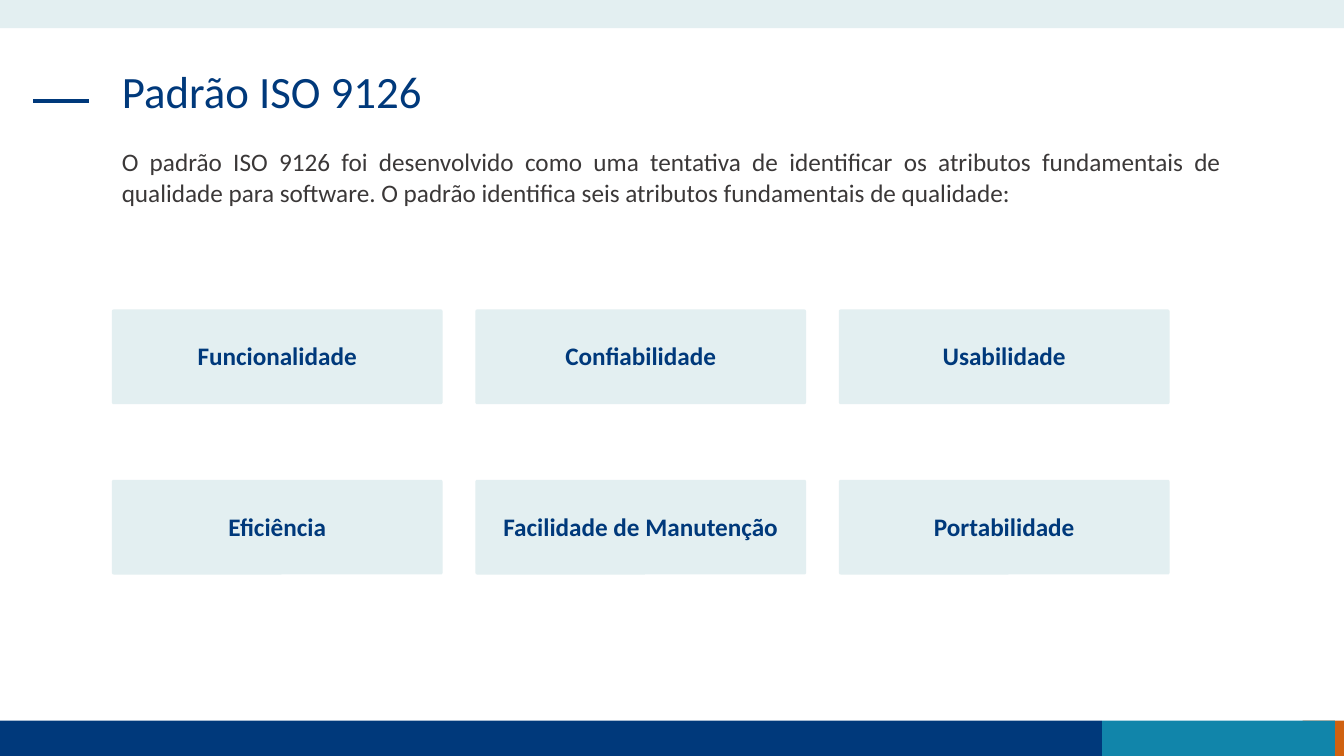
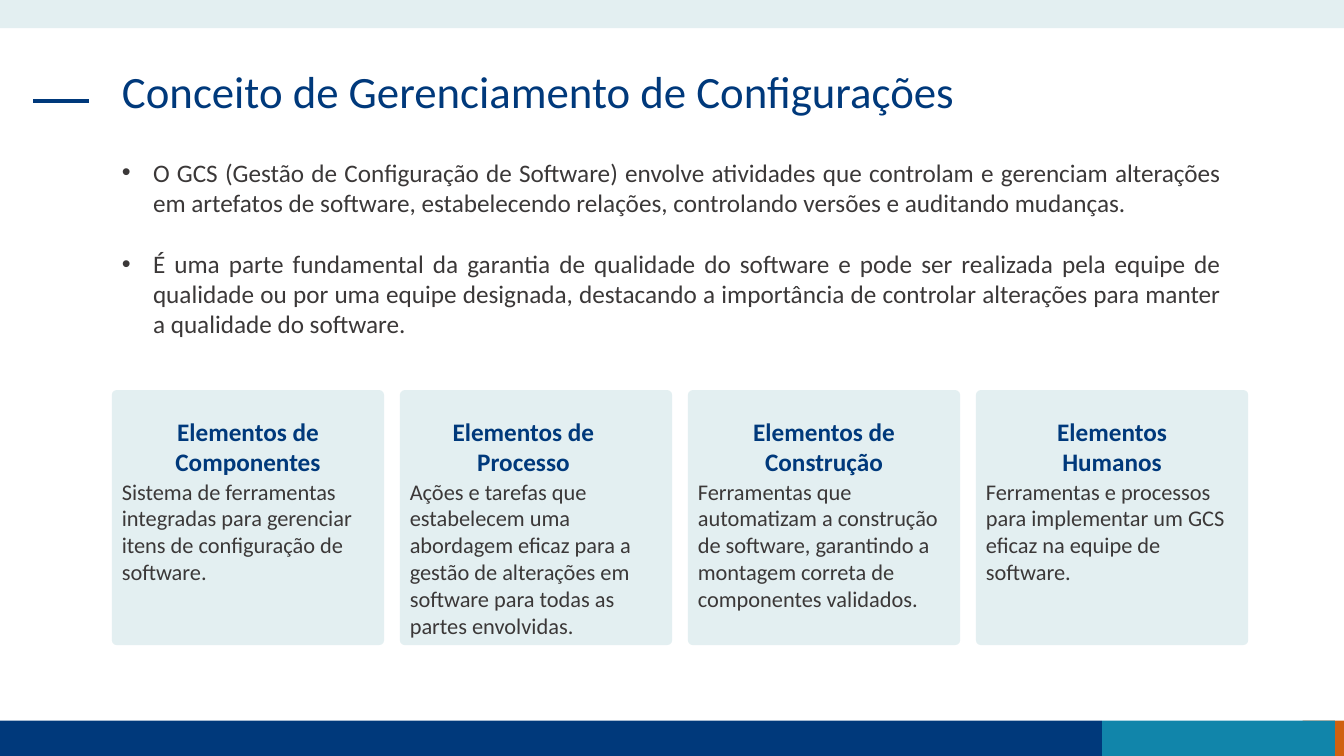
from lxml import etree
from pptx import Presentation
from pptx import util as u
from pptx.dml.color import RGBColor
from pptx.enum import shapes, text
from pptx.oxml import ns

NAVY = RGBColor(0x00, 0x39, 0x7B)
TEAL = RGBColor(0x11, 0x85, 0xAA)
RUST = RGBColor(0xD0, 0x61, 0x10)
PALE = RGBColor(0xE3, 0xEF, 0xF1)
GRAY = RGBColor(0x3B, 0x38, 0x38)
FONT = "Calibri"
LEFT = 1.11
BODY = 11.1
RECT = shapes.MSO_SHAPE.RECTANGLE
ROUND = shapes.MSO_SHAPE.ROUNDED_RECTANGLE
FIT = text.MSO_AUTO_SIZE.SHAPE_TO_FIT_TEXT
TOP, MID = text.MSO_ANCHOR.TOP, text.MSO_ANCHOR.MIDDLE
START, MIDST, JUST = text.PP_ALIGN.LEFT, text.PP_ALIGN.CENTER, text.PP_ALIGN.JUSTIFY


def inch(*sizes):
    return [u.Inches(size) for size in sizes]


def bullet(para):
    props = para._p.get_or_add_pPr()
    props.set("marL", str(u.Inches(0.31)))
    props.set("indent", str(u.Inches(-0.31)))
    etree.SubElement(props, ns.qn("a:buFont")).set("typeface", "Arial")
    etree.SubElement(props, ns.qn("a:buChar")).set("char", "•")


def fill(frame, lines, size=18, color=GRAY, bold=False, align=START,
         anchor=TOP, fit=FIT, dots=False, gap=0, lead=None):
    frame.word_wrap = True
    frame.auto_size = fit
    frame.vertical_anchor = anchor
    for num, line in enumerate(lines):
        para = frame.add_paragraph() if num else frame.paragraphs[0]
        if dots:
            bullet(para)
        para.text = line
        para.alignment = align
        para.line_spacing = lead
        para.space_before = u.Pt(gap if num else 0)
        font = para.font
        font.name, font.size, font.bold = FONT, u.Pt(size), bold
        font.color.rgb = color


def write(slide, place, *lines, **style):
    box = slide.shapes.add_textbox(*inch(*place))
    fill(box.text_frame, lines, **style)


def block(slide, place, color, kind=RECT):
    shape = slide.shapes.add_shape(kind, *inch(*place))
    shape.shadow.inherit = False
    shape.fill.solid()
    shape.fill.fore_color.rgb = color
    shape.line.fill.background()
    if kind == ROUND:
        shape.adjustments[0] = 0.019


def dash(slide, *ends):
    line = slide.shapes.add_connector(shapes.MSO_CONNECTOR.STRAIGHT, *inch(*ends))
    line.line.color.rgb = NAVY
    line.line.width = u.Pt(3)
    etree.SubElement(line._element.spPr, ns.qn("a:effectLst"))


def bands(slide, layout):
    block(slide, (12.92, 7.15, 0.41, 0.35), RUST)
    block(slide, (0, 7.15, 10.93, 0.35), NAVY)
    block(slide, (10.93, 7.15, 2.31, 0.35), TEAL)
    block(slide, (0, 0, 13.33, 0.28), PALE)
    dash(slide, 0.33, 1, 0.88, 1)
    parts = [shape for shape in slide.shapes if not shape.is_placeholder]
    for num, part in enumerate(parts):
        item = part._element
        item.xpath(".//p:cNvPr")[0].set("id", str(20 + num))
        layout.shapes.element.insert(2 + num, item)


def page(deck, layout, name):
    slide = deck.slides.add_slide(layout)
    title = slide.shapes.title
    title.left, title.top, title.width, title.height = inch(LEFT, 0.64, BODY, 0.94)
    fill(title.text_frame, [name], size=32, color=NAVY,
         fit=text.MSO_AUTO_SIZE.NONE, lead=0.9)
    return slide


def grid(slide, names):
    for num, name in enumerate(names):
        row, col = divmod(num, 3)
        left = LEFT + col * 3.605
        top = 3.07 + row * 1.69
        block(slide, (left, top, 3.28, 0.94), PALE, ROUND)
        write(slide, (left + 0.15, top + 0.26, 2.98, 0.4), name,
              color=NAVY, bold=True, align=MIDST)


def cards(slide, items):
    for num, (head, width, note, tall) in enumerate(items):
        left = LEFT + num * 8.57 / 3
        block(slide, (left, 3.87, 2.7, 2.53), PALE, ROUND)
        write(slide, (left, 4.08, width, 0.71), *head,
              color=NAVY, bold=True, align=MIDST)
        write(slide, (left, 4.69, 2.7, tall), note, size=16)


def main():
    deck = Presentation()
    deck.slide_width, deck.slide_height = inch(13.33, 7.5)
    layout = deck.slide_layouts[5]

    norm = page(deck, layout, "Padrão ISO 9126")
    bands(norm, layout)
    write(norm, (LEFT, 1.4, BODY, 0.71),
          "O padrão ISO 9126 foi desenvolvido como uma tentativa de identificar "
          "os atributos fundamentais de qualidade para software. O padrão "
          "identifica seis atributos fundamentais de qualidade:",
          align=JUST, anchor=MID)
    grid(norm, ["Funcionalidade", "Confiabilidade", "Usabilidade",
                "Eficiência", "Facilidade de Manutenção", "Portabilidade"])

    setup = page(deck, layout, "Conceito de Gerenciamento de Configurações")
    write(setup, (LEFT, 1.5, BODY, 1.92),
          "O GCS (Gestão de Configuração de Software) envolve atividades que "
          "controlam e gerenciam alterações em artefatos de software, "
          "estabelecendo relações, controlando versões e auditando mudanças.",
          "É uma parte fundamental da garantia de qualidade do software e pode "
          "ser realizada pela equipe de qualidade ou por uma equipe designada, "
          "destacando a importância de controlar alterações para manter a "
          "qualidade do software.",
          align=JUST, anchor=MID, dots=True, gap=22)
    cards(setup, [
        (["Elementos de Componentes"], 2.7,
         "Sistema de ferramentas integradas para gerenciar itens de "
         "configuração de software.", 1.18),
        (["Elementos de Processo"], 2.45,
         "Ações e tarefas que estabelecem uma abordagem eficaz para a gestão "
         "de alterações em software para todas as partes envolvidas.", 1.72),
        (["Elementos de Construção"], 2.7,
         "Ferramentas que automatizam a construção de software, garantindo a "
         "montagem correta de componentes validados.", 1.45),
        (["Elementos", "Humanos"], 2.7,
         "Ferramentas e processos para implementar um GCS eficaz na equipe "
         "de software.", 1.18),
    ])
    deck.save("out.pptx")


if __name__ == "__main__":
    main()
